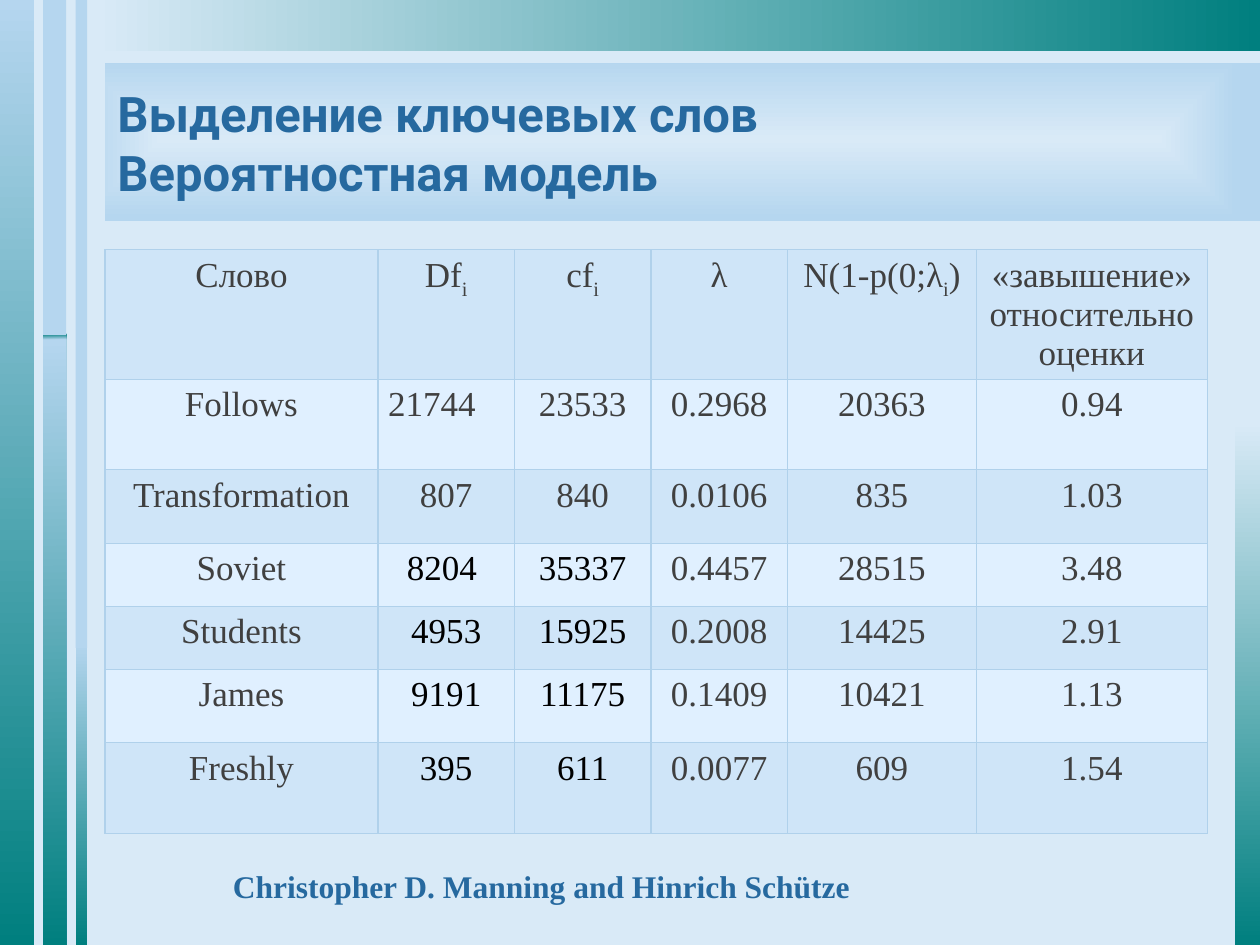
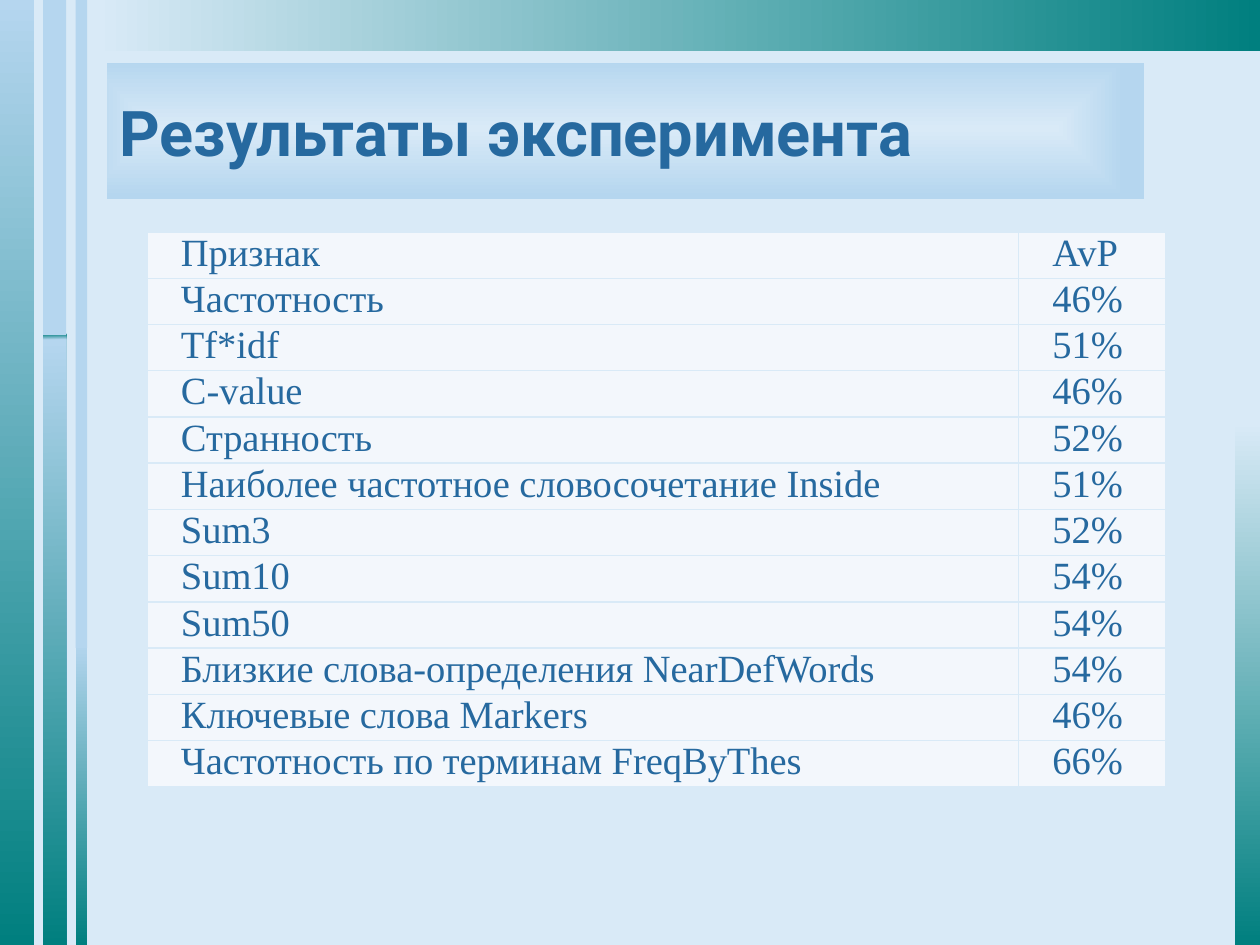
from lxml import etree
from pptx import Presentation, util as u
from pptx.dml.color import RGBColor
from pptx.enum import shapes, text
from pptx.oxml.ns import qn

TEAL, SKY, PALE, BLUE = "007F7F", "B5D6EF", "D9EAF7", "26699F"
GREY, BLACK = "404040", "000000"
SERIF, SANS = "Times New Roman", "Roboto"
COLS, ROWS = 120, 90

WORDS = [
    ["Слово", "Df|i", "cf|i", "λ", "N(1-p(0;λ|i|)", "«завышение» относительно оценки"],
    ["Follows", "21744", "23533", "0.2968", "20363", "0.94"],
    ["Transformation", "807", "840", "0.0106", "835", "1.03"],
    ["Soviet", "8204 ", "35337", "0.4457", "28515", "3.48"],
    ["Students", "4953", "15925", "0.2008", "14425", "2.91"],
    ["James", "9191", "11175", "0.1409", "10421", "1.13"],
    ["Freshly", "395", "611", "0.0077", "609", "1.54"],
]
BASE = [["Признак", "AvP"], ["Частотность", "46%"]]
SCORES = [
    ["Tf*idf", "51%"],
    ["C-value", "46%"],
    ["Странность", "52%"],
    ["Наиболее частотное словосочетание Inside", "51%"],
    ["Sum3", "52%"],
    ["Sum10", "54%"],
    ["Sum50", "54%"],
    ["Близкие слова-определения NearDefWords", "54%"],
    ["Ключевые слова Markers", "46%"],
    ["Частотность по терминам FreqByThes", "66%"],
]


def rgb(code):
    return RGBColor.from_string(code)


def node(parent, tag, **attrs):
    return etree.SubElement(parent, qn("a:" + tag), {k: str(v) for k, v in attrs.items()})


class Deck:
    """Holds the style and the current slide on a grid of 120 by 90."""

    def __init__(self):
        self.prs = Presentation()
        self.prs.slide_width, self.prs.slide_height = u.Inches(10), u.Inches(7.5)
        self.unit = self.prs.slide_width / COLS

    def span(self, *cells):
        return [u.Emu(round(c * self.unit)) for c in cells]

    def page(self):
        self.slide = self.prs.slides.add_slide(self.prs.slide_layouts[6])
        fill = self.slide.background.fill
        fill.solid()
        fill.fore_color.rgb = rgb(PALE)
        rise = [(0, TEAL), (100, SKY)]
        self.fade(self.rect(0, 0, 3.25, ROWS), rise, 270)
        self.fade(self.rect(4.1, 31.8, 2.2, 58.2), [(0, TEAL), (1, SKY), (100, TEAL)], 89)
        self.fade(self.rect(117.6, 40.2, 2.4, 49.8), [(0, TEAL), (100, PALE)], 270)
        self.fade(self.rect(7.2, 61, 1.1, 29), rise, 270)
        self.rect(4.1, 0, 2.2, 31.9)
        self.rect(7.2, 0, 1.1, 61.7)
        self.fade(self.rect(9, 0, 111, 4.9), [(0, PALE), (100, TEAL)], 0)

    def rect(self, *box):
        shape = self.slide.shapes.add_shape(shapes.MSO_SHAPE.RECTANGLE, *self.span(*box))
        shape.shadow.inherit = False
        shape.fill.solid()
        shape.fill.fore_color.rgb = rgb(SKY)
        shape.line.fill.background()
        return shape

    def fade(self, shape, stops, angle=None):
        shape.fill.gradient()
        grad = shape.element.spPr.find(qn("a:gradFill"))
        for child in list(grad):
            grad.remove(child)
        grad.set("rotWithShape", "1")
        marks = node(grad, "gsLst")
        for pos, code in stops:
            node(node(marks, "gs", pos=pos * 1000), "srgbClr", val=code)
        if angle is None:
            route = node(grad, "path", path="rect")
            node(route, "fillToRect", l=48000, t=48000, r=52000, b=52000)
        else:
            node(grad, "lin", ang=angle * 60000, scaled=0)

    def style(self, frame, size, face, color, align, bold=False):
        for para in frame.paragraphs:
            para.alignment = align
            for run in para.runs:
                font = run.font
                font.size, font.name, font.bold = u.Pt(size), face, bold
                font.color.rgb = rgb(color)

    def title(self, words, size, *box):
        shape = self.rect(*box)
        self.fade(shape, [(0, PALE), (100, SKY)])
        frame = shape.text_frame
        frame.word_wrap = True
        frame.vertical_anchor = text.MSO_ANCHOR.MIDDLE
        frame.margin_left = frame.margin_right = u.Inches(0.1)
        frame.margin_top = frame.margin_bottom = u.Inches(0.1)
        frame.text = words
        self.style(frame, size, SANS, BLUE, text.PP_ALIGN.LEFT, True)

    def note(self, words, *box):
        frame = self.slide.shapes.add_textbox(*self.span(*box)).text_frame
        frame.word_wrap = True
        frame.text = words
        self.style(frame, 18, SERIF, BLUE, text.PP_ALIGN.LEFT, True)

    def grid(self, data, left, top, wide, high, paint):
        spot = self.span(left, top, sum(wide), sum(high))
        table = self.slide.shapes.add_table(len(data), len(wide), *spot).table
        table.first_row = table.horz_banding = False
        for col, size in zip(table.columns, self.span(*wide)):
            col.width = size
        for row, size in zip(table.rows, self.span(*high)):
            row.height = size
        for r, row in enumerate(data):
            for c, words in enumerate(row):
                paint(table.cell(r, c), words, r, c)

    def cell(self, cell, words, back, edge, width, pad):
        cell.margin_left = cell.margin_right = u.Inches(pad[0])
        cell.margin_top = cell.margin_bottom = u.Inches(pad[1])
        para = cell.text_frame.paragraphs[0]
        for i, part in enumerate(words.split("|")):
            run = para.add_run()
            run.text = part
            if i % 2:
                run.font._element.set("baseline", "-25000")
        props = cell._tc.get_or_add_tcPr()
        for side in "LRTB":
            line = node(props, "ln" + side, w=u.Pt(width))
            node(node(line, "solidFill"), "srgbClr", val=edge)
        cell.fill.solid()
        cell.fill.fore_color.rgb = rgb(back)

    def count(self, cell, words, r, c):
        self.cell(cell, words, "E0F0FF" if r % 2 else "CFE5F8", "B0D1EB", 0.75, (0.08, 0.05))
        color = BLACK if r > 2 and c in (1, 2) else GREY
        align = text.PP_ALIGN.LEFT if (r, c) == (1, 1) else text.PP_ALIGN.CENTER
        self.style(cell.text_frame, 20, SERIF, color, align)

    def score(self, cell, words, r, c):
        self.cell(cell, words, "F3F7FC", PALE, 1, (0.07, 0))
        self.style(cell.text_frame, 22, SERIF, BLUE, text.PP_ALIGN.JUSTIFY)
        para = cell.text_frame.paragraphs[0]
        para._p.get_or_add_pPr().set("indent", str(u.Inches(0.2)))


def main():
    deck = Deck()

    deck.page()
    deck.grid(WORDS, 10, 23.8, [26, 13, 13, 13, 18, 22],
              [12.25, 8.65, 7, 6, 6, 7, 8.65], deck.count)
    deck.title("Выделение ключевых слов\nВероятностная модель", 28, 10, 6, 110, 15.1)
    deck.note("Christopher D. Manning and Hinrich Schütze", 21, 82, 91, 4.8)

    deck.page()
    deck.title("Результаты эксперимента", 36, 10.2, 6, 98.8, 13)
    wide = [83, 14]
    deck.grid(BASE, 14, 22.1, wide, [4] * 2, deck.score)
    deck.grid(SCORES, 14, 30.9, wide, [4.4] + [4] * 9, deck.score)

    deck.prs.save("out.pptx")


if __name__ == "__main__":
    main()
